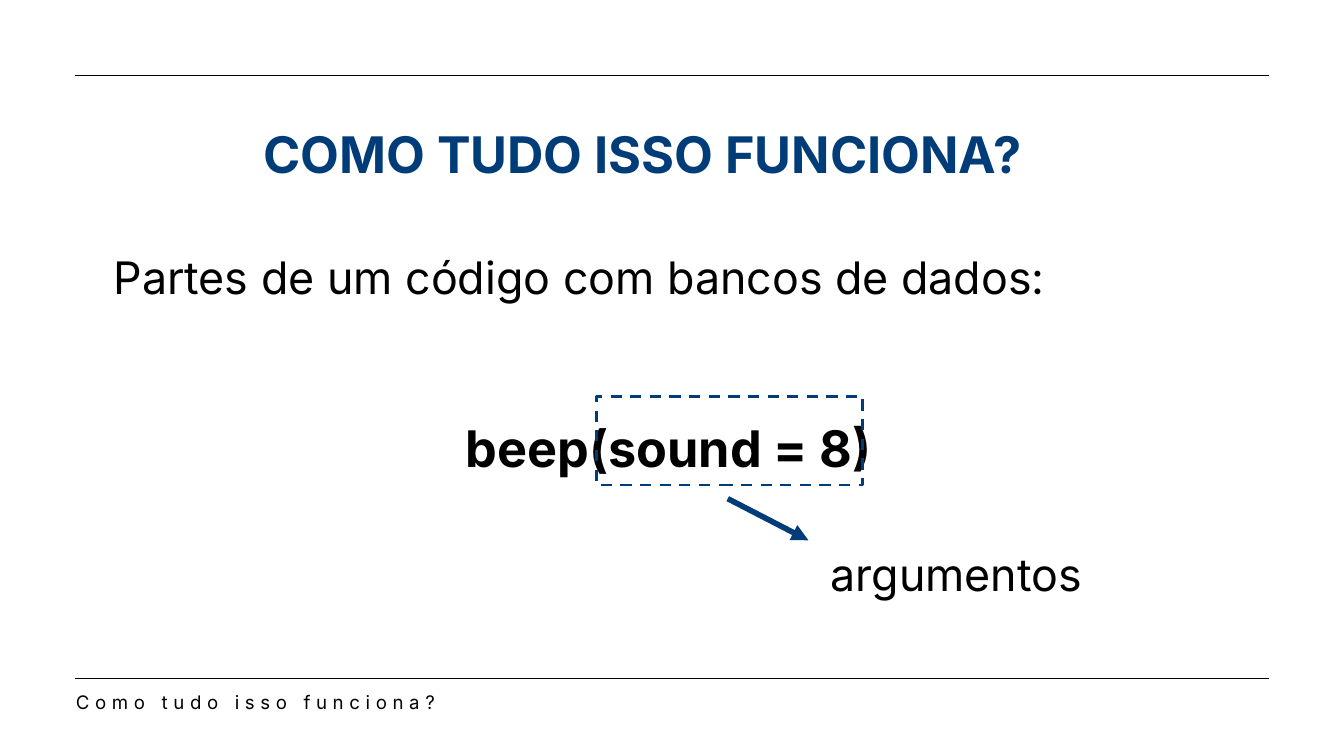
from lxml.etree import SubElement
from pptx import Presentation
from pptx.dml.color import RGBColor
from pptx.enum.dml import MSO_LINE
from pptx.enum.shapes import MSO_CONNECTOR, MSO_SHAPE
from pptx.enum.text import MSO_ANCHOR, PP_ALIGN
from pptx.oxml.ns import qn
from pptx.util import Inches, Pt

WIDTH, HEIGHT = Inches(20), Inches(11.25)
FONT = "Inter"
NAVY, BLACK = "003C78", "000000"
LEFT_MARGIN, RIGHT_MARGIN = 5.6, 94.4


def color(hex_code):
    """Turn a hex string into a colour."""
    return RGBColor.from_string(hex_code)


def across(percent):
    """Give a share of the slide's width."""
    return round(WIDTH * percent / 100)


def down(percent):
    """Give a share of the slide's height."""
    return round(HEIGHT * percent / 100)


def place(left, top, width, height):
    """Turn percentages of the slide into a position and a size."""
    return across(left), down(top), across(width), down(height)


def add_text(slide, box, text, size, hex_code=BLACK, bold=False, align=PP_ALIGN.LEFT,
             line_spacing=1.0, anchor=MSO_ANCHOR.TOP):
    """Add a one-paragraph text box and return its shape."""
    shape = slide.shapes.add_textbox(*place(*box))
    text_frame = shape.text_frame
    text_frame.word_wrap = True
    text_frame.vertical_anchor = anchor
    text_frame.text = text
    paragraph = text_frame.paragraphs[0]
    paragraph.alignment = align
    paragraph.line_spacing = line_spacing
    font = paragraph.runs[0].font
    font.name, font.size, font.bold = FONT, Pt(size), bold
    font.color.rgb = color(hex_code)
    return shape


def add_footer(slide, text):
    """Add the letter-spaced footer without insets."""
    shape = add_text(slide, (5.65, 90.93, 63.55, 3.2), text, 20, line_spacing=Pt(28))
    text_frame = shape.text_frame
    text_frame.margin_left = text_frame.margin_right = 0
    text_frame.margin_top = text_frame.margin_bottom = 0
    text_frame.paragraphs[0].runs[0].font._element.set("spc", "600")


def add_dashed_frame(slide, box):
    """Add an unfilled rectangle with a dashed outline."""
    shape = slide.shapes.add_shape(MSO_SHAPE.RECTANGLE, *place(*box))
    shape.shadow.inherit = False
    shape.fill.background()
    shape.line.color.rgb = color(NAVY)
    shape.line.width = Pt(3)
    shape.line.dash_style = MSO_LINE.DASH


def add_line(slide, start, end, hex_code, width):
    """Add a straight line between two points and return it."""
    connector = slide.shapes.add_connector(
        MSO_CONNECTOR.STRAIGHT, across(start[0]), down(start[1]), across(end[0]), down(end[1]))
    connector.line.color.rgb = color(hex_code)
    connector.line.width = Pt(width)
    SubElement(connector._element.spPr, qn("a:effectLst"))
    return connector


def add_arrow(slide, start, end):
    """Add a thick line that ends in a triangle."""
    connector = add_line(slide, start, end, NAVY, 6)
    SubElement(connector.line._get_or_add_ln(), qn("a:tailEnd"), type="triangle")


def main():
    """Build the slide and save it."""
    presentation = Presentation()
    presentation.slide_width, presentation.slide_height = WIDTH, HEIGHT
    slide = presentation.slides.add_slide(presentation.slide_layouts[6])

    add_text(slide, (7.95, 9.33, 79.75, 21.87), "COMO TUDO ISSO FUNCIONA?", 54, NAVY,
             bold=True, align=PP_ALIGN.CENTER, anchor=MSO_ANCHOR.MIDDLE)
    add_text(slide, (7.95, 31.2, 83.65, 36), "Partes de um código com bancos de dados:", 48,
             line_spacing=1.2)
    add_text(slide, (28.3, 53.07, 42.95, 10.58), "beep(sound = 8)", 54,
             bold=True, align=PP_ALIGN.CENTER, line_spacing=1.2)
    add_text(slide, (60.2, 71.91, 21.9, 8.09), "argumentos", 48, align=PP_ALIGN.CENTER)
    add_dashed_frame(slide, (44.4, 52.44, 19.8, 11.73))
    for top in (89.78, 10):
        add_line(slide, (LEFT_MARGIN, top), (RIGHT_MARGIN, top), BLACK, 1.5)
    add_footer(slide, "Como tudo isso funciona?")
    add_arrow(slide, (54.15, 65.96), (60.15, 71.47))

    presentation.save("out.pptx")


if __name__ == "__main__":
    main()
